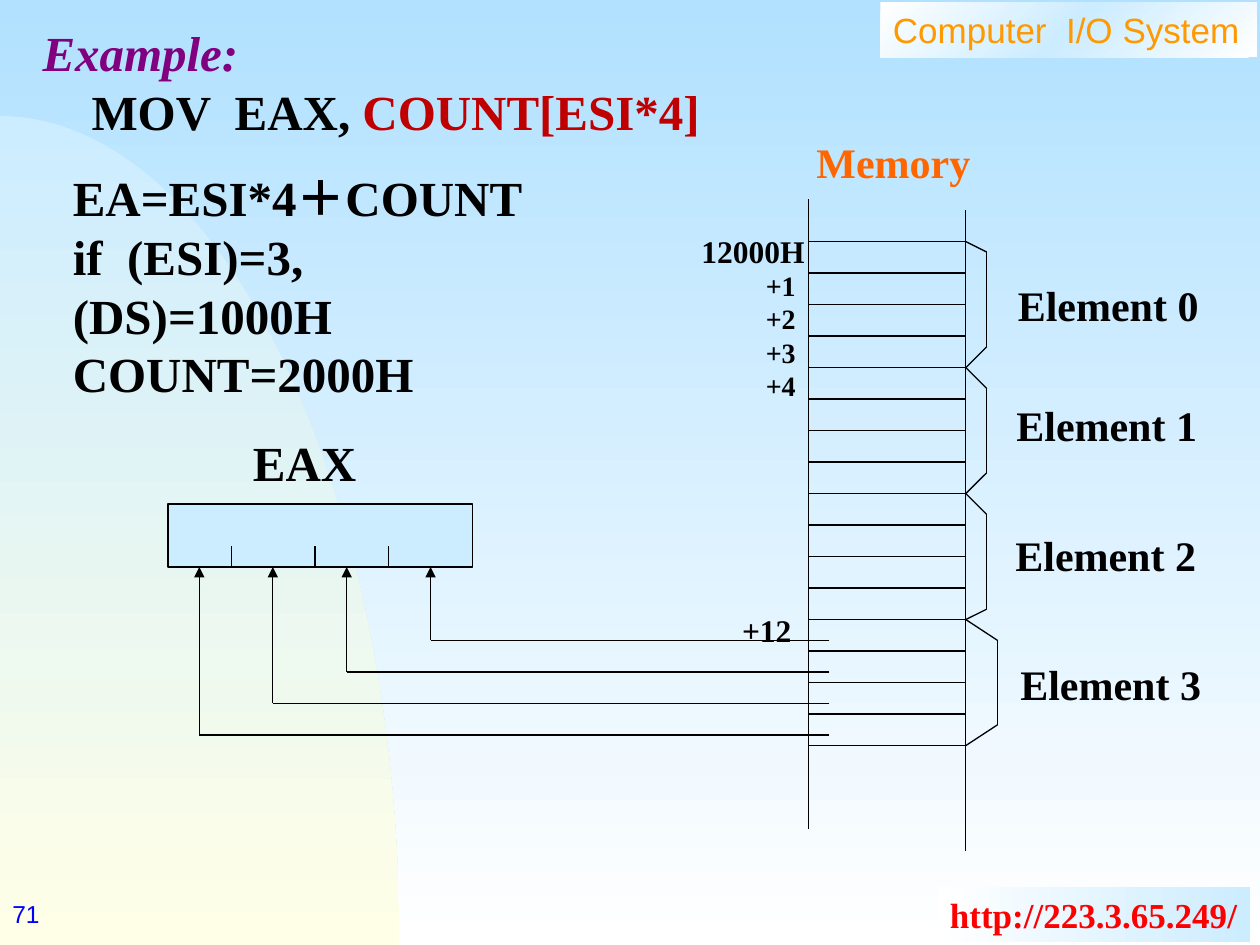
from copy import deepcopy
from math import cos, pi, sin

from lxml.etree import SubElement
from pptx import Presentation
from pptx.dml.color import RGBColor
from pptx.enum.shapes import MSO_CONNECTOR, MSO_SHAPE
from pptx.enum.text import MSO_ANCHOR, MSO_AUTO_SIZE, PP_ALIGN
from pptx.oxml.ns import qn
from pptx.util import Cm, Pt

BLACK = RGBColor(0x00, 0x00, 0x00)
WHITE = RGBColor(0xFF, 0xFF, 0xFF)
SKY = RGBColor(0xB1, 0xE1, 0xFF)
PALE = RGBColor(0xCC, 0xEC, 0xFF)
CREAM = RGBColor(0xFF, 0xFF, 0xE7)
GOLD = RGBColor(0xFF, 0x99, 0x00)
ORANGE = RGBColor(0xFF, 0x66, 0x00)
RED = RGBColor(0xFF, 0x00, 0x00)
BRICK = RGBColor(0xC0, 0x00, 0x00)
PURPLE = RGBColor(0x80, 0x00, 0x80)
BLUE = RGBColor(0x00, 0x00, 0xFF)

SERIF = "Times New Roman"
SANS = "Arial"


class Canvas:
    def __init__(self, slide):
        self.slide = slide
        self.shapes = slide.shapes

    def blend(self, fill, root, angle, *colors):
        fill.gradient()
        fill.gradient_angle = angle
        stops = next(root.iter(qn("a:gsLst")))
        while len(stops) < len(colors):
            stops.append(deepcopy(stops[0]))
        for i, (stop, color) in enumerate(zip(fill.gradient_stops, colors)):
            stop.color.rgb = color
            stop.position = i / (len(colors) - 1)

    def backdrop(self, *colors):
        fill = self.slide.background.fill
        self.blend(fill, self.slide.element, 270, *colors)

    def arc(self, base, wide, high, *colors):
        turns = [pi / 2 * i / 60 for i in range(61)]
        edge = [(Cm(wide * sin(t)), Cm(base - high * cos(t))) for t in turns]
        pen = self.shapes.build_freeform(0, Cm(base))
        pen.add_line_segments(edge, close=True)
        shape = pen.convert_to_shape()
        shape.shadow.inherit = False
        shape.line.fill.background()
        self.blend(shape.fill, shape.element, 270, *colors)

    def rect(self, x, y, w, h):
        shape = self.shapes.add_shape(
            MSO_SHAPE.RECTANGLE, Cm(x), Cm(y), Cm(w), Cm(h))
        shape.shadow.inherit = False
        return shape

    def block(self, x, y, w, h, color):
        shape = self.rect(x, y, w, h)
        shape.fill.solid()
        shape.fill.fore_color.rgb = color
        shape.line.color.rgb = BLACK
        shape.line.width = Pt(0.75)

    def banner(self, box, text, angle, colors, wrap=True, **style):
        shape = self.rect(*box)
        shape.line.fill.background()
        self.blend(shape.fill, shape.element, angle, *colors)
        self.letter(shape.text_frame, [text], wrap, **style)

    def text(self, x, y, w, h, *rows, wrap=False, **style):
        box = self.shapes.add_textbox(Cm(x), Cm(y), Cm(w), Cm(h))
        self.letter(box.text_frame, rows, wrap, **style)
        return box.text_frame

    def letter(self, frame, rows, wrap, size=28, color=BLACK, face=SERIF,
               bold=True):
        frame.word_wrap = wrap
        frame.auto_size = MSO_AUTO_SIZE.SHAPE_TO_FIT_TEXT
        frame.vertical_anchor = MSO_ANCHOR.TOP
        for i, row in enumerate(rows):
            para = frame.add_paragraph() if i else frame.paragraphs[0]
            para.alignment = PP_ALIGN.LEFT
            para.add_run().text = row
            font = para.font
            font.name, font.size, font.bold = face, Pt(size), bold
            font.color.rgb = color

    def line(self, x1, y1, x2, y2, arrow=False):
        line = self.shapes.add_connector(
            MSO_CONNECTOR.STRAIGHT, Cm(x1), Cm(y1), Cm(x2), Cm(y2))
        line.line.color.rgb = BLACK
        line.line.width = Pt(0.75)
        props = line.element.spPr
        if arrow:
            SubElement(props.find(qn("a:ln")), qn("a:tailEnd"), type="triangle")
        SubElement(props, qn("a:effectLst"))

    def chain(self, *points):
        for start, end in zip(points, points[1:]):
            self.line(*start, *end)


def main():
    deck = Presentation()
    deck.slide_width, deck.slide_height = Cm(25.4), Cm(19.05)
    page = Canvas(deck.slides.add_slide(deck.slide_layouts[6]))

    page.backdrop(SKY, WHITE)
    page.arc(19.05, 8.05, 16.71, PALE, CREAM)
    page.banner((17.75, 0.05, 7.59, 1.11), "Computer  I/O System", 315,
                (WHITE, PALE, WHITE), size=20, color=GOLD, face=SANS, bold=False)
    page.banner((18.9, 17.88, 6.3, 1.11), "http://223.3.65.249/", 0,
                (WHITE, PALE), wrap=False, size=20, color=RED)
    number = page.text(0, 17.78, 5.28, 1.27, "71", wrap=True, size=14,
                       color=BLUE, face=SANS, bold=False)
    number.auto_size = MSO_AUTO_SIZE.NONE
    number.vertical_anchor = MSO_ANCHOR.MIDDLE

    title = page.text(0.61, 0.33, 13.77, 2.64, "Example:", "    MOV  EAX, ")
    head, code = title.paragraphs
    head.font.italic = True
    head.font.color.rgb = PURPLE
    operand = code.add_run()
    operand.text = "COUNT[ESI*4]"
    operand.font.color.rgb = BRICK

    left, right, top, base, count = 16.3, 19.47, 4.87, 15.03, 16
    step = (base - top) / count
    page.line(left, 4.02, left, 16.72)
    page.line(right, 4.23, right, 17.15)
    for i in range(count + 1):
        page.line(left, top + i * step, right, top + i * step)

    braces = [(19.89, 5.08, 6.99), (19.89, 7.83, 9.53),
              (19.89, 10.37, 12.28), (20.11, 12.91, 14.61)]
    labels = [(20.27, 5.51), (20.24, 7.92), (20.22, 10.54), (20.32, 13.16)]
    for i, ((tip, high, low), (x, y)) in enumerate(zip(braces, labels)):
        start = top + 4 * i * step
        page.chain((right, start), (tip, high), (tip, low),
                   (right, start + 4 * step))
        page.text(x, y, 4.52, 1.27, f"Element {i}", wrap=True, size=24)

    page.text(13.89, 4.55, 2.59, 1.02, "12000H", size=18)
    page.text(15.19, 5.28, 1.19, 2.97, "+1", "+2", "+3", "+4",
              wrap=True, size=16)
    page.text(14.71, 12.19, 1.78, 1.02, "+12", wrap=True, size=18)

    floor = 11.43
    page.block(3.39, 10.16, 6.14, 1.27, PALE)
    for x in (4.66, 6.35, 7.83):
        page.line(x, 11.01, x, floor)
    for i, x in enumerate((8.68, 6.99, 5.5, 4.02)):
        y = 12.91 + i * step
        page.line(16.72, y, x, y)
        page.line(x, y, x, floor, arrow=True)

    page.text(4.85, 8.59, 2.59, 1.45, "EAX")
    page.text(1.22, 3.25, 10.36, 3.81, "EA=ESI*4＋COUNT",
              "if  (ESI)=3,(DS)=1000H", "COUNT=2000H")
    page.text(16.21, 2.62, 3.61, 1.27, "Memory", size=24, color=ORANGE)
    deck.save("out.pptx")


if __name__ == "__main__":
    main()
